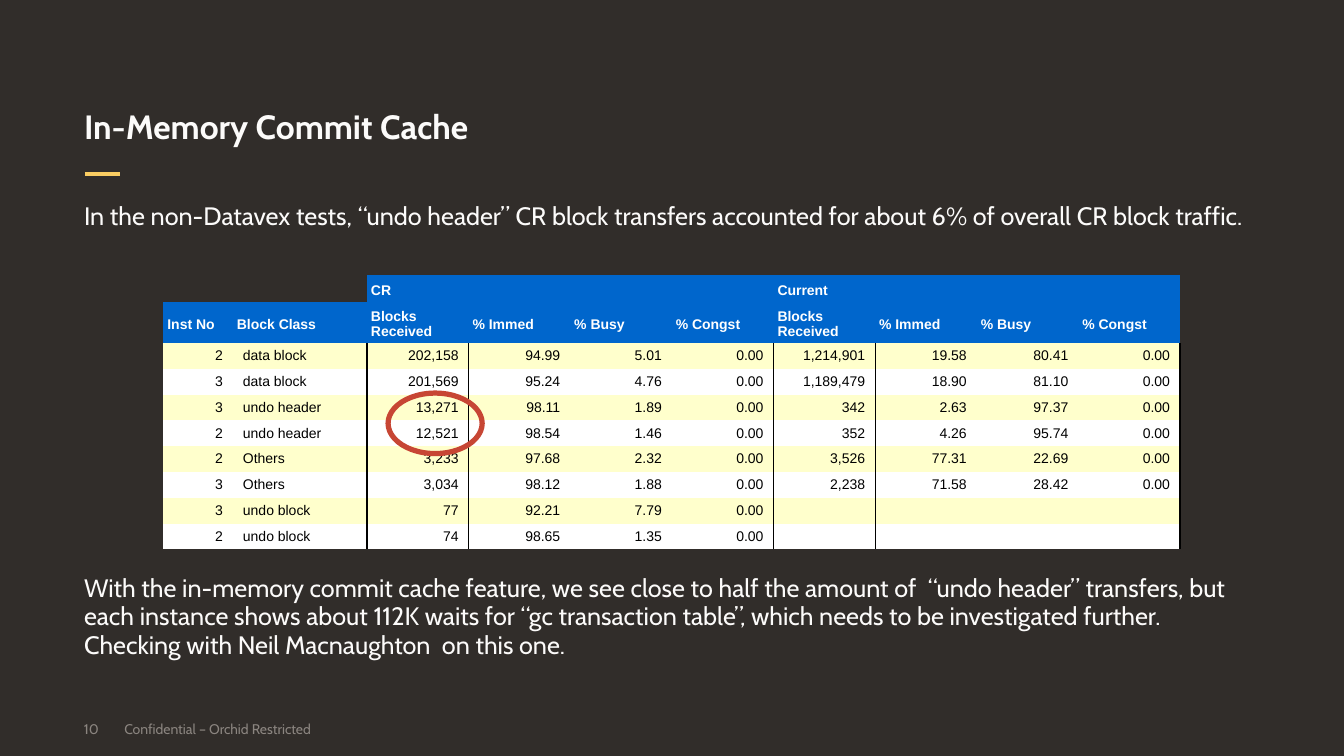
from lxml.etree import SubElement
from pptx import Presentation
from pptx.dml.color import RGBColor
from pptx.enum.shapes import MSO_CONNECTOR, MSO_SHAPE
from pptx.enum.text import MSO_ANCHOR, PP_ALIGN
from pptx.oxml.ns import qn
from pptx.util import Emu, Inches, Pt

THEME = {
    "background": "312D2A", "text": "FCFBFA", "muted": "8B8580", "accent": "FACD62",
    "ring": "C74634", "header": "0066CC", "header_text": "FFFFFF", "cell_text": "000000",
    "bands": ["FFFFCC", "FFFFFF"], "border": "000000",
    "font": "Cabin", "table_font": "Arial",
    "title": 24, "body": 18, "small": 10,
}
PLAIN_TABLE = "{2D5ABB26-0587-4C30-8999-92F81FD0307C}"

prs = Presentation()
prs.slide_width, prs.slide_height = Emu(12192000), Inches(7.5)
COL, ROW = prs.slide_width // 160, prs.slide_height // 150
MARGIN, CONTENT = 10, 140


def grid(left, top, width, height):
    return int(left * COL), int(top * ROW), int(width * COL), int(height * ROW)


def write(tf, paragraphs, size, color, font=THEME["font"], bold=False, align=PP_ALIGN.LEFT,
          anchor=MSO_ANCHOR.TOP, spacing=1.0, gap=0, insets=(0, 0, 0, 0)):
    tf.word_wrap = True
    tf.vertical_anchor = anchor
    tf.margin_left, tf.margin_top, tf.margin_right, tf.margin_bottom = map(Inches, insets)
    for i, text in enumerate(paragraphs):
        p = tf.add_paragraph() if i else tf.paragraphs[0]
        p.alignment = align
        p.line_spacing = spacing
        p.space_before = Pt(gap if i else 0)
        if not text:
            p._p.get_or_add_endParaRPr().set("sz", str(size * 100))
            continue
        r = p.add_run()
        r.text = text
        r.font.name, r.font.size, r.font.bold = font, Pt(size), bold
        r.font.color.rgb = RGBColor.from_string(color)


s = prs.slides.add_slide(prs.slide_layouts[6])
s.background.fill.solid()
s.background.fill.fore_color.rgb = RGBColor.from_string(THEME["background"])

x, y, w, h = grid(MARGIN + 0.1, 34.6, 4.2, 0)
rule = s.shapes.add_connector(MSO_CONNECTOR.STRAIGHT, x, y, x + w, y)
rule.line.color.rgb = RGBColor.from_string(THEME["accent"])
rule.line.width = Pt(3)
SubElement(rule._element.spPr, qn("a:effectLst"))

footer = {"size": THEME["small"], "color": THEME["muted"], "anchor": MSO_ANCHOR.MIDDLE}
texts = [
    ((MARGIN, 140.6, 4.8, 8), ["10"], footer),
    ((MARGIN + 4.8, 140.6, 52.8, 8), ["Confidential – Orchid Restricted"], footer),
    ((MARGIN, 11.2, CONTENT, 18), ["In-Memory Commit Cache"],
     {"size": THEME["title"], "color": THEME["text"], "bold": True,
      "anchor": MSO_ANCHOR.BOTTOM, "spacing": 0.95}),
    ((MARGIN, 40.2, CONTENT, 93.2),
     ["In the non-Datavex tests, “undo header” CR block transfers accounted for about 6% "
      "of overall CR block traffic.",
      "With the in-memory commit cache feature, we see close to half the amount of  “undo header” "
      "transfers, but each instance shows about 112K waits for “gc transaction table”, which needs "
      "to be investigated further.  Checking with Neil Macnaughton  on this one."],
     {"size": THEME["body"], "color": THEME["text"], "spacing": 0.95, "gap": 245}),
]
for place, paragraphs, style in texts:
    write(s.shapes.add_textbox(*grid(*place)).text_frame, paragraphs, **style)

measures = ["Blocks Received", "% Immed", "% Busy", "% Congst"]
rows = [
    ["", "", "CR", "", "", "", "Current", "", "", ""],
    ["Inst No", "Block Class", *measures, *measures],
    ["2", "data block", "202,158", "94.99", "5.01", "0.00", "1,214,901", "19.58", "80.41", "0.00"],
    ["3", "data block", "201,569", "95.24", "4.76", "0.00", "1,189,479", "18.90", "81.10", "0.00"],
    ["3", "undo header", "13,271", "98.11", "1.89", "0.00", "342", "2.63", "97.37", "0.00"],
    ["2", "undo header", "12,521", "98.54", "1.46", "0.00", "352", "4.26", "95.74", "0.00"],
    ["2", "Others", "3,233", "97.68", "2.32", "0.00", "3,526", "77.31", "22.69", "0.00"],
    ["3", "Others", "3,034", "98.12", "1.88", "0.00", "2,238", "71.58", "28.42", "0.00"],
    ["3", "undo block", "77", "92.21", "7.79", "0.00", "", "", "", ""],
    ["2", "undo block", "74", "98.65", "1.35", "0.00", "", "", "", ""],
]
widths = [8.28, 15.96] + [12.1] * 8
heights = [5.4, 7.7] + [5.12] * 8
frame = s.shapes.add_table(len(rows), len(widths),
                           *grid(19.45, 54.6, sum(widths), sum(heights)))
tb = frame.table
tb.first_row = tb.horz_banding = False
tb._tbl.tblPr.find(qn("a:tableStyleId")).text = PLAIN_TABLE
for column, width in zip(tb.columns, widths):
    column.width = int(width * COL)
for row, height in zip(tb.rows, heights):
    row.height = int(height * ROW)

for i, values in enumerate(rows):
    header = i < 2
    for j, value in enumerate(values):
        cell = tb.cell(i, j)
        if i == 0 and j < 2:
            cell.fill.background()
        else:
            cell.fill.solid()
            fill = THEME["header"] if header else THEME["bands"][i % 2]
            cell.fill.fore_color.rgb = RGBColor.from_string(fill)
        write(cell.text_frame, [value], THEME["small"],
              THEME["header_text"] if header else THEME["cell_text"],
              font=THEME["table_font"], bold=header,
              align=PP_ALIGN.LEFT if header or j == 1 else PP_ALIGN.RIGHT)
        cell.vertical_anchor = MSO_ANCHOR.MIDDLE
        cell.margin_left = cell.margin_right = Inches(0.04 if header else 0.1)
        cell.margin_top = Inches(0.05 if header else 0.04)
        cell.margin_bottom = Inches(0.02 if header else 0.04)
        side = "a:lnR" if j in (1, 5, 9) else "a:lnL" if j in (2, 6) else None
        if side and not header:
            tcPr = cell._tc.get_or_add_tcPr()
            ln = SubElement(tcPr, qn(side), w=str(Pt(1)))
            SubElement(SubElement(ln, qn("a:solidFill")), qn("a:srgbClr"), val=THEME["border"])
            tcPr.insert(0, ln)

for first in (2, 6):
    tb.cell(0, first).merge(tb.cell(0, first + 3))

ring = s.shapes.add_shape(MSO_SHAPE.OVAL, *grid(46.2, 78, 11.2, 12))
ring.shadow.inherit = False
ring.fill.background()
ring.line.color.rgb = RGBColor.from_string(THEME["ring"])
ring.line.width = Pt(3.75)

prs.save("out.pptx")
